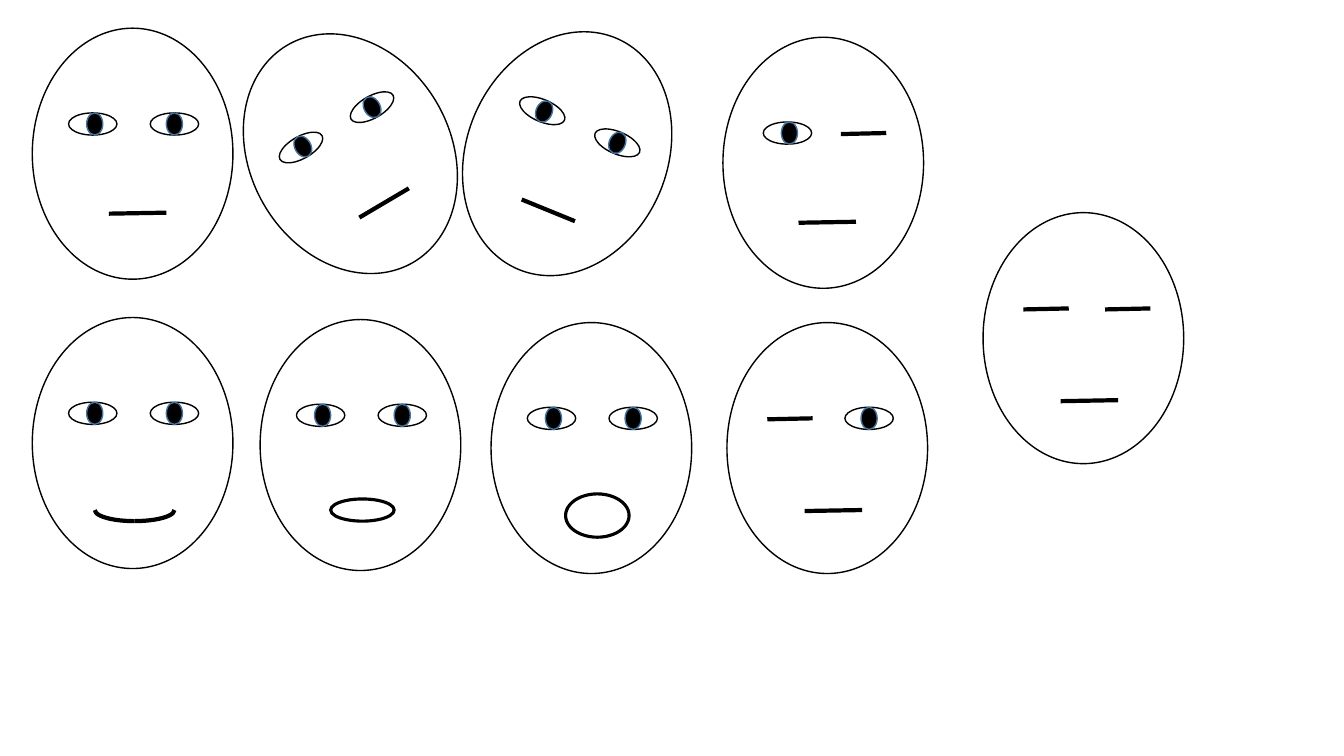
"""Draw nine simple faces with different tilts, eyes and mouths."""
from pptx import Presentation
from pptx.dml.color import RGBColor
from pptx.enum.shapes import MSO_CONNECTOR as Connector, MSO_SHAPE as Shape
from pptx.oxml.ns import qn
from pptx.util import Inches, Pt
from lxml.etree import SubElement

COLORS = {"ink": "000000", "iris": "43739E"}
FACE_WIDTH, FACE_HEIGHT = 1.99, 2.49
EYE_WIDTH, EYE_HEIGHT, EYE_TOP = 0.48, 0.22, 0.84
PUPIL_WIDTH, LID_WIDTH, LID_TOP = 0.16, 0.45, 0.96
MOUTH_WIDTH, LINE_RISE = 0.57, 0.01

FACES = [
    {"at": (0.32, 0.28), "mouth": ("flat", 0.76, 1.84)},
    {"at": (2.48, 0.28), "tilt": 330.4, "mouth": ("flat", 0.76, 1.84)},
    {"at": (4.63, 0.28), "tilt": 23.2, "mouth": ("flat", 0.76, 1.84)},
    {"at": (0.32, 3.15), "mouth": ("smile", 0.62, 1.80, 0.79, 0.22)},
    {"at": (2.58, 3.17), "mouth": ("oval", 0.70, 1.78, 0.63, 0.22)},
    {"at": (4.87, 3.20), "mouth": ("oval", 0.74, 1.70, 0.63, 0.43)},
    {"at": (7.17, 0.37), "open": [(0.40, 0.18)], "closed": [1.17],
     "mouth": ("flat", 0.75, 1.84)},
    {"at": (7.21, 3.20), "open": [(1.17, 0.16)], "closed": [0.40],
     "mouth": ("flat", 0.77, 1.87)},
    {"at": (9.75, 2.11), "open": [], "closed": [0.40, 1.21],
     "mouth": ("flat", 0.77, 1.87)},
]
BOTH_OPEN = [(0.36, 0.18), (1.17, 0.16)]


def draw_shape(shapes, left, top, width, height, kind=Shape.OVAL,
               fill=None, line="ink", weight=1):
    shape = shapes.add_shape(kind, Inches(left), Inches(top), Inches(width), Inches(height))
    shape.shadow.inherit = False
    if fill:
        shape.fill.solid()
        shape.fill.fore_color.rgb = RGBColor.from_string(COLORS[fill])
    else:
        shape.fill.background()
    shape.line.color.rgb = RGBColor.from_string(COLORS[line])
    shape.line.width = Pt(weight)
    return shape


def draw_line(shapes, left, top, width):
    line = shapes.add_connector(Connector.STRAIGHT, Inches(left), Inches(top),
                                Inches(left + width), Inches(top - LINE_RISE))
    line.line.color.rgb = RGBColor.from_string(COLORS["ink"])
    line.line.width = Pt(3)
    SubElement(line._element.spPr, qn("a:effectLst"))


deck = Presentation()
deck.slide_width, deck.slide_height = Inches(13.33), Inches(7.5)
page = deck.slides.add_slide(deck.slide_layouts[6])

for face in FACES:
    left, top = face["at"]
    tilt = face.get("tilt")
    group = page.shapes.add_group_shape() if tilt else None
    shapes = group.shapes if tilt else page.shapes

    draw_shape(shapes, left, top, FACE_WIDTH, FACE_HEIGHT)
    for eye, pupil in face.get("open", BOTH_OPEN):
        draw_shape(shapes, left + eye, top + EYE_TOP, EYE_WIDTH, EYE_HEIGHT)
        draw_shape(shapes, left + eye + pupil, top + EYE_TOP, PUPIL_WIDTH, EYE_HEIGHT,
                   fill="ink", line="iris")
    for lid in face.get("closed", []):
        draw_line(shapes, left + lid, top + LID_TOP, LID_WIDTH)

    kind, across, down, *size = face["mouth"]
    if kind == "flat":
        draw_line(shapes, left + across, top + down, MOUTH_WIDTH)
    elif kind == "oval":
        draw_shape(shapes, left + across, top + down, *size, weight=2.25)
    else:
        smile = page.shapes.add_group_shape().shapes
        left_half, right_half = [
            draw_shape(smile, left + across, top + down, *size, kind=Shape.ARC, weight=3)
            for _ in range(2)]
        left_half.rotation = 180
        right_half._element.spPr.find(qn("a:xfrm")).set("flipV", "1")

    if tilt:
        group.rotation = tilt

deck.save("out.pptx")
